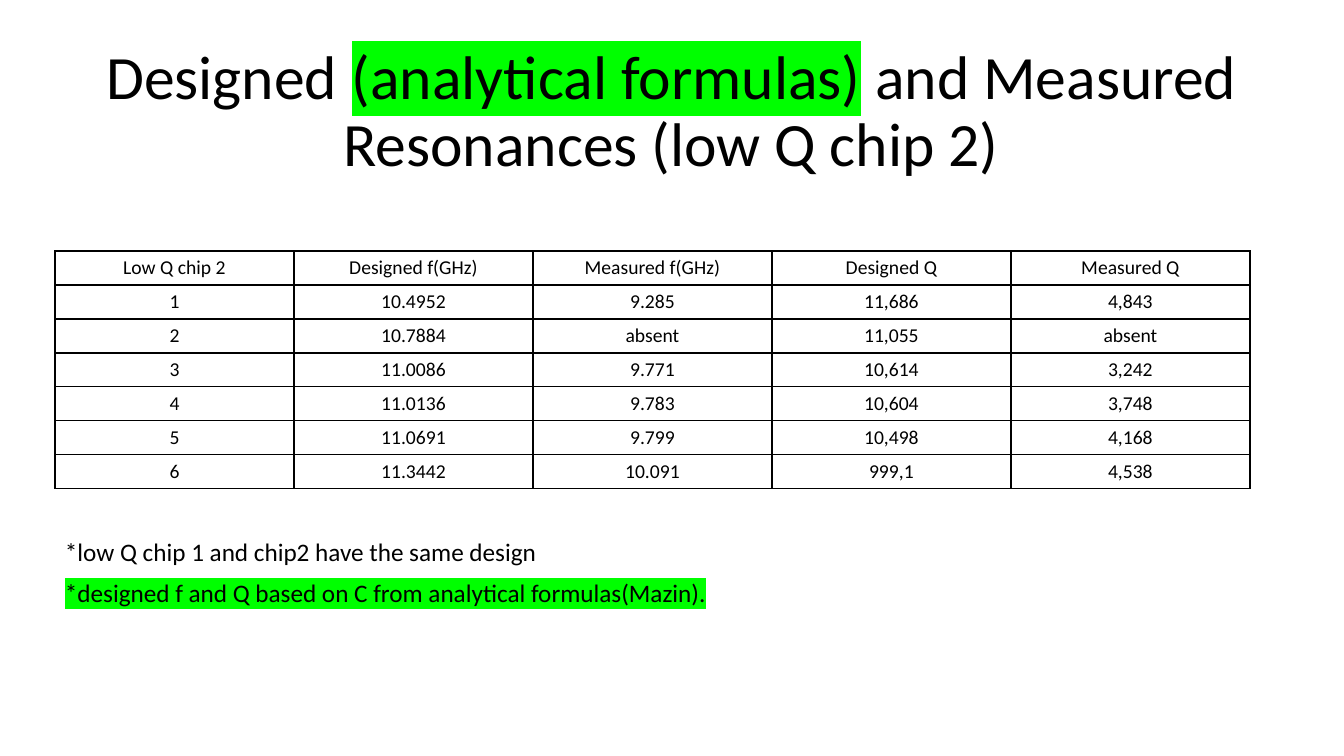
from lxml import etree
from pptx import Presentation
from pptx import util as u
from pptx.dml.color import RGBColor
from pptx.enum import text
from pptx.oxml.ns import qn

BLACK, GREEN = "000000", "00FF00"
FONT = "Calibri"

# Each run is (wording, highlight colour or None)
TITLE = [
    ("Designed ", None),
    ("(analytical formulas)", GREEN),
    (" and Measured Resonances (low Q chip 2)", None),
]
ROWS = [
    ("Low Q chip 2", "Designed f(GHz)", "Measured f(GHz)", "Designed Q", "Measured Q"),
    ("1", "10.4952", "9.285", "11,686", "4,843"),
    ("2", "10.7884", "absent", "11,055", "absent"),
    ("3", "11.0086", "9.771", "10,614", "3,242"),
    ("4", "11.0136", "9.783", "10,604", "3,748"),
    ("5", "11.0691", "9.799", "10,498", "4,168"),
    ("6", "11.3442", "10.091", "999,1", "4,538"),
]
NOTES = [
    (498, ("*low Q chip 1 and chip2 have the same design", None)),
    (669, ("*designed f and Q based on C from analytical formulas(Mazin).", GREEN)),
]

# Layout in px
SCALE = 914400 / 100.8
WIDE, HIGH = 1344, 756
LEFT = 55
TITLE_BOX = (92, 40, 1159, 146)
GRID_TOP, COL, ROW = 251, 239, 34
NOTE_TOP, NOTE_STEP = 531, 41


def px(n):
    return u.Emu(round(n * SCALE))


def rgb(code):
    return RGBColor.from_string(code)


def write(para, runs, size, align):
    para.alignment = align
    for words, mark in runs:
        run = para.add_run()
        run.text = words
        font = run.font
        font.color.rgb = rgb(BLACK)
        for key, value in {"size": u.Pt(size), "name": FONT, "bold": False}.items():
            setattr(font, key, value)
        if mark:
            # The schema wants the highlight straight after the fill
            props = run._r.get_or_add_rPr()
            glow = etree.Element(qn("a:highlight"))
            etree.SubElement(glow, qn("a:srgbClr"), val=mark)
            props.find(qn("a:solidFill")).addnext(glow)


def add_text(slide, box, runs, size, align, **form):
    frame = slide.shapes.add_textbox(*map(px, box)).text_frame
    for key, value in form.items():
        setattr(frame, key, value)
    write(frame.paragraphs[0], runs, size, align)
    return frame


def frame_cell(cell):
    """Clear the fill and draw a 1 pt line on all four sides."""
    cell.fill.background()
    props = cell._tc.get_or_add_tcPr()
    for i, side in enumerate("LRTB"):
        line = etree.Element(qn("a:ln" + side), w=str(u.Pt(1)))
        fill = etree.SubElement(line, qn("a:solidFill"))
        etree.SubElement(fill, qn("a:srgbClr"), val=BLACK)
        props.insert(i, line)


def add_grid(slide):
    rows, cols = len(ROWS), len(ROWS[0])
    box = map(px, (LEFT, GRID_TOP, COL * cols, ROW * rows))
    grid = slide.shapes.add_table(rows, cols, *box).table
    grid.first_row = grid.horz_banding = False
    for col in grid.columns:
        col.width = px(COL)
    for r, line in enumerate(ROWS):
        grid.rows[r].height = px(ROW)
        for c, words in enumerate(line):
            cell = grid.cell(r, c)
            frame_cell(cell)
            write(cell.text_frame.paragraphs[0], [(words, None)], 14,
                  text.PP_ALIGN.CENTER)


def main():
    deck = Presentation()
    deck.slide_width, deck.slide_height = px(WIDE), px(HIGH)
    slide = deck.slides.add_slide(deck.slide_layouts[6])

    title = add_text(slide, TITLE_BOX, TITLE, 44, text.PP_ALIGN.CENTER,
                     word_wrap=True, vertical_anchor=text.MSO_ANCHOR.MIDDLE)
    title.paragraphs[0].line_spacing = 0.9
    add_grid(slide)
    for i, (width, run) in enumerate(NOTES):
        box = (LEFT, NOTE_TOP + i * NOTE_STEP, width, 40)
        add_text(slide, box, [run], 18, text.PP_ALIGN.LEFT, word_wrap=False,
                 auto_size=text.MSO_AUTO_SIZE.SHAPE_TO_FIT_TEXT)
    deck.save("out.pptx")


if __name__ == "__main__":
    main()
